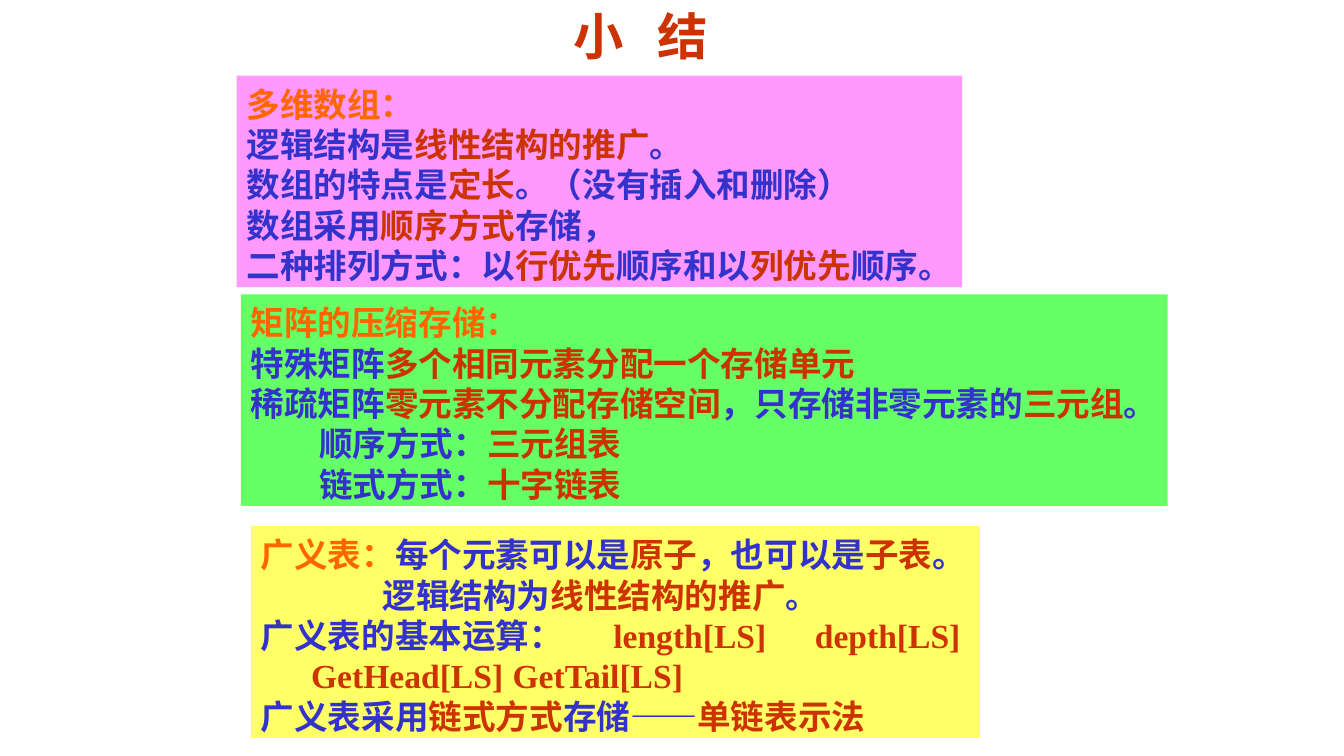
from pptx import Presentation
from pptx.dml.color import RGBColor
from pptx.enum.shapes import MSO_SHAPE
from pptx.enum.text import MSO_ANCHOR, MSO_AUTO_SIZE, PP_ALIGN
from pptx.oxml.ns import qn
from pptx.util import Inches, Pt
from lxml import etree

RECT = MSO_SHAPE.RECTANGLE
TOP = MSO_ANCHOR.TOP
LEFT = PP_ALIGN.LEFT
NO_FIT = MSO_AUTO_SIZE.NONE

COLORS = {
    "head": "FF6600", "blue": "3333CC", "red": "CC3300",
    "pink": "FF99FF", "green": "66FF66", "yellow": "FFFF66",
}
CJK, LATIN = "Noto Sans CJK SC", "Times New Roman"


class Deck:
    """Holds the text style and the current slide."""

    def __init__(self, width, height):
        self.prs = Presentation()
        self.prs.slide_width, self.prs.slide_height = Inches(width), Inches(height)
        self.s = None

    def add_slide(self):
        self.s = self.prs.slides.add_slide(self.prs.slide_layouts[5])

    def frame(self, sp, top=0.05, right=0.1):
        tf = sp.text_frame
        tf.word_wrap, tf.auto_size, tf.vertical_anchor = True, NO_FIT, TOP
        tf.margin_left, tf.margin_right = Inches(0.1), Inches(right)
        tf.margin_top, tf.margin_bottom = Inches(top), Inches(0)
        return tf

    def run(self, p, text, color, size, latin=LATIN):
        r = p.add_run()
        r.text = text
        r.font.size, r.font.bold, r.font.name = Pt(size), True, latin
        r.font.color.rgb = RGBColor.from_string(COLORS[color])
        etree.SubElement(r.font._element, qn("a:ea")).set("typeface", CJK)
        return r

    def title(self, first, last, x, y, w, h):
        sp = self.s.shapes.title
        sp.left, sp.top, sp.width, sp.height = map(Inches, (x, y, w, h))
        p = self.frame(sp).paragraphs[0]
        p.alignment = LEFT
        self.run(p, first, "red", 36, CJK)
        gap = self.run(p, " ", "red", 36, CJK)
        gap.font._element.set("spc", "1600")  # widens the space
        self.run(p, last, "red", 36, CJK)

    def panel(self, x, y, w, h, fill, lines):
        sp = self.s.shapes.add_shape(RECT, *map(Inches, (x, y, w, h)))
        sp.shadow.inherit = False
        sp.fill.solid()
        sp.fill.fore_color.rgb = RGBColor.from_string(COLORS[fill])
        sp.line.fill.background()
        tf = self.frame(sp, top=0.08, right=0)
        for i, (indent, tabs, runs) in enumerate(lines):
            p = tf.add_paragraph() if i else tf.paragraphs[0]
            p.alignment, p.line_spacing = LEFT, Pt(28.8)
            self.layout(p, indent, tabs)
            for color, text in runs:
                self.run(p, text, color, 24)

    def layout(self, p, indent, tabs):
        pPr = p._p.get_or_add_pPr()
        pPr.set("marL", str(Inches(indent)))
        pPr.set("indent", "0")
        if tabs:
            tab_list = etree.SubElement(pPr, qn("a:tabLst"))
            for pos in tabs:
                tab = etree.SubElement(tab_list, qn("a:tab"))
                tab.set("pos", str(Inches(pos)))
                tab.set("algn", "l")


def line(*runs, indent=0, tabs=()):
    return indent, tabs, runs


def head(text):
    return "head", text


def blue(text):
    return "blue", text


def red(text):
    return "red", text


def main():
    deck = Deck(13.34, 7.5)
    deck.add_slide()
    deck.title("小", "结", 5.59, 0, 1.95, 0.7)

    # Multidimensional arrays
    deck.panel(2.35, 0.75, 7.2, 2.1, "pink", [
        line(head("多维数组：")),
        line(blue("逻辑结构是"), red("线性结构的推广"), blue("。")),
        line(blue("数组的特点是"), red("定长"), blue("。（没有插入和删除）")),
        line(blue("数组采用"), red("顺序方式"), blue("存储，")),
        line(blue("二种排列方式：以"), red("行优先"), blue("顺序和以"),
             red("列优先"), blue("顺序。")),
    ])

    # Compressed matrix storage
    deck.panel(2.39, 2.92, 9.2, 2.1, "green", [
        line(head("矩阵的压缩存储：")),
        line(blue("特殊矩阵"), red("多个相同元素分配一个存储单元")),
        line(blue("稀疏矩阵"), red("零元素不分配存储空间"),
             blue("，只存储非零元素的"), red("三元组"), blue("。")),
        line(blue("顺序方式："), red("三元组表"), indent=0.68),
        line(blue("链式方式："), red("十字链表"), indent=0.68),
    ])

    # Generalized lists
    deck.panel(2.49, 5.22, 7.24, 2.1, "yellow", [
        line(head("广义表："), blue("每个元素可以是"), red("原子"),
             blue("，也可以是"), red("子表"), blue("。")),
        line(blue("逻辑结构为"), red("线性结构的推广"), blue("。"), indent=1.21),
        line(blue("广义表的基本运算："), red("\tlength[LS]\tdepth[LS]"),
             tabs=(3.08, 4.85)),
        line(red("\tGetHead[LS]\tGetTail[LS]"), tabs=(3, 5.32)),
        line(blue("广义表采用"), red("链式方式"), blue("存储——"), red("单链表示法")),
    ])
    deck.prs.save("out.pptx")


if __name__ == "__main__":
    main()
